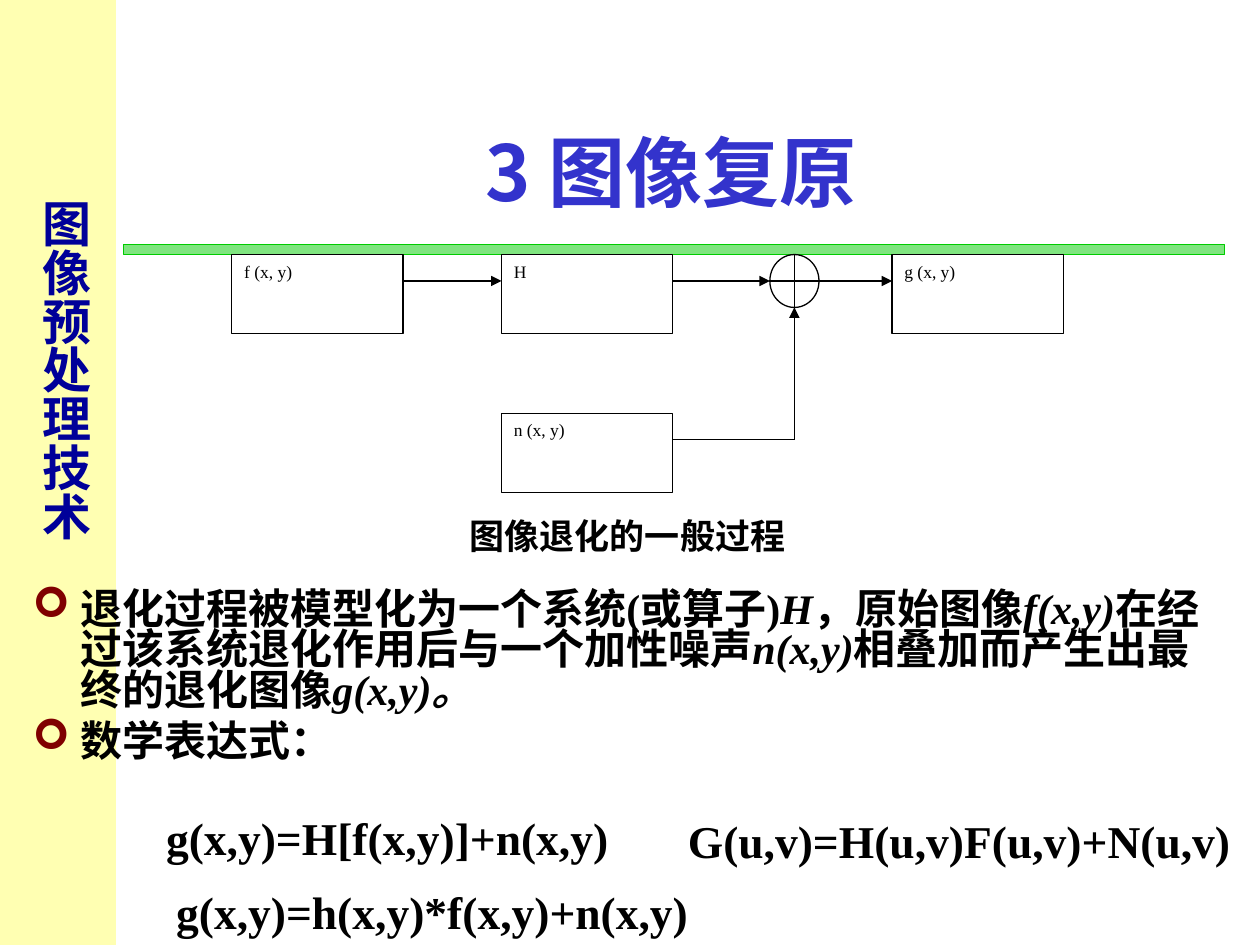
from lxml import etree
from pptx import Presentation
from pptx.dml.color import RGBColor
from pptx.enum.shapes import MSO_CONNECTOR, MSO_SHAPE
from pptx.enum.text import MSO_ANCHOR, MSO_AUTO_SIZE, PP_ALIGN
from pptx.oxml.ns import qn
from pptx.util import Inches, Pt

COLORS = {
    "black": "000000", "white": "FFFFFF", "title": "3333CC", "side": "000099",
    "band": "FFFF66", "rule": "00CC00", "bullet": "800000",
}
SERIF, CJK = "Times New Roman", "Noto Sans CJK SC"


def color(name):
    return RGBColor.from_string(COLORS[name])


def add_xml(parent, tag, **attributes):
    return etree.SubElement(parent, qn(tag), attributes)


def style(paragraph, size, color_name="black", font=SERIF, bold=True):
    paragraph.font.size = Pt(size)
    paragraph.font.bold = bold
    paragraph.font.name = font
    paragraph.font.color.rgb = color(color_name)
    # East Asian characters need their own typeface entry
    add_xml(paragraph._p.pPr.find(qn("a:defRPr")), "a:ea", typeface=CJK)


def add_figure(slide, kind, box, fill, line=None, alpha=None):
    shape = slide.shapes.add_shape(kind, *map(Inches, box))
    shape.shadow.inherit = False
    shape.fill.solid()
    shape.fill.fore_color.rgb = color(fill)
    if alpha:
        add_xml(shape._element.spPr.find(f".//{qn('a:srgbClr')}"), "a:alpha", val=str(alpha * 1000))
    if line:
        shape.line.color.rgb = color(line)
        shape.line.width = Pt(0.75)
    else:
        shape.line.fill.background()
    return shape


def add_line(slide, start, end, arrow=True):
    line = slide.shapes.add_connector(MSO_CONNECTOR.STRAIGHT, *map(Inches, (*start, *end)))
    line.line.color.rgb = color("black")
    line.line.width = Pt(0.75)
    if arrow:
        add_xml(line.line._get_or_add_ln(), "a:tailEnd", type="triangle")
    add_xml(line._element.spPr, "a:effectLst")


def add_label(slide, box, text, size, line_spacing=None, space_before=0, align=PP_ALIGN.LEFT):
    frame = slide.shapes.add_textbox(*map(Inches, box)).text_frame
    frame.word_wrap = False
    frame.auto_size = MSO_AUTO_SIZE.SHAPE_TO_FIT_TEXT
    paragraph = frame.paragraphs[0]
    paragraph.text = text
    paragraph.alignment = align
    paragraph.line_spacing = line_spacing
    paragraph.space_before = Pt(space_before)
    style(paragraph, size)


def add_sidebar(slide, box):
    left, top, width, height = box
    add_figure(slide, MSO_SHAPE.RECTANGLE, box, "band", alpha=50)
    frame = slide.shapes.add_textbox(
        Inches(left + 0.17), Inches(top + 0.37), Inches(0.66), Inches(4.88)).text_frame
    frame.word_wrap = True
    frame.vertical_anchor = MSO_ANCHOR.MIDDLE
    frame.margin_left, frame.margin_right = Inches(0.09), Inches(0.05)
    frame.margin_top = frame.margin_bottom = Inches(0.1)
    frame._txBody.bodyPr.set("vert", "eaVert")
    paragraph = frame.paragraphs[0]
    paragraph.text = "图像预处理技术"
    paragraph._p.get_or_add_pPr().set("marL", str(Inches(1.11)))
    style(paragraph, 28, "side", CJK)


def add_title(slide, box):
    title = slide.shapes.title
    title.left, title.top, title.width, title.height = map(Inches, box)
    frame = title.text_frame
    frame.vertical_anchor = MSO_ANCHOR.MIDDLE
    paragraph = frame.paragraphs[0]
    paragraph.text = "3 图像复原"
    paragraph.alignment = PP_ALIGN.CENTER
    style(paragraph, 44, "title", CJK)


def add_diagram(slide, box):
    left, top, width, height = box
    block_width, block_height, adder_width, adder_height = 1.36, 0.63, 0.39, 0.42
    system_left, output_left = left + 2.14, left + width - block_width
    noise_top = top + height - block_height
    adder_left = left + 4.27
    flow_y, noise_y = top + adder_height / 2, noise_top + adder_height / 2
    adder_x = adder_left + adder_width / 2

    # Blocks
    blocks = [("f (x, y)", left, top), ("H", system_left, top),
              ("n (x, y)", system_left, noise_top), ("g (x, y)", output_left, top)]
    for text, x, y in blocks:
        block = add_figure(slide, MSO_SHAPE.RECTANGLE, (x, y, block_width, block_height),
                           "white", "black")
        block.text_frame.vertical_anchor = MSO_ANCHOR.TOP
        paragraph = block.text_frame.paragraphs[0]
        paragraph.text = text
        paragraph.alignment = PP_ALIGN.JUSTIFY
        style(paragraph, 10, bold=False)
    add_figure(slide, MSO_SHAPE.FLOWCHART_OR, (adder_left, top, adder_width, adder_height),
               "white", "black")

    # Signal flow from left to right
    for start, end in [(left + block_width, system_left),
                       (system_left + block_width, adder_left),
                       (adder_left + adder_width, output_left)]:
        add_line(slide, (start, flow_y), (end, flow_y))

    # Noise joins at the adder
    add_line(slide, (system_left + block_width, noise_y), (adder_x, noise_y), arrow=False)
    add_line(slide, (adder_x, noise_y), (adder_x, top + adder_height))


def add_body(slide, box):
    # Each run is (text, italic)
    bullets = [
        [("退化过程被模型化为一个系统(或算子)", False), ("H", True), ("，原始图像", False),
         ("f(x,y)", True), ("在经过该系统退化作用后与一个加性噪声", False),
         ("n(x,y)", True), ("相叠加而产生出最终的退化图像", False), ("g(x,y)。", True)],
        [("数学表达式：", False)],
    ]
    frame = slide.shapes.add_textbox(*map(Inches, box)).text_frame
    frame.word_wrap = True
    frame.margin_top, frame.margin_right = Inches(0.53), Inches(0.05)
    for index, runs in enumerate(bullets):
        paragraph = frame.add_paragraph() if index else frame.paragraphs[0]
        properties = paragraph._p.get_or_add_pPr()
        properties.set("marL", str(Inches(0.38)))
        properties.set("indent", str(-Inches(0.38)))
        add_xml(add_xml(properties, "a:buClr"), "a:srgbClr", val=COLORS["bullet"])
        add_xml(properties, "a:buFont", typeface="Wingdings")
        add_xml(properties, "a:buChar", char="➢")
        paragraph.line_spacing = 0.8
        paragraph.space_before = Pt(6.5)
        style(paragraph, 24)
        for text, italic in runs:
            run = paragraph.add_run()
            run.text = text
            run.font.italic = italic


def add_formulas(slide, box):
    left, top, width, height = box
    add_label(slide, (left, top + 0.03, 3.8, 0.49), "g(x,y)=H[f(x,y)]+n(x,y)", 26, 0.9, 6.5)
    add_label(slide, (left + 0.08, top + height - 0.54, 4.27, 0.54),
              "g(x,y)=h(x,y)*f(x,y)+n(x,y)", 26)
    add_label(slide, (left + width - 4.51, top, 4.51, 0.54), "G(u,v)=H(u,v)F(u,v)+N(u,v)",
              26, space_before=6.5, align=PP_ALIGN.CENTER)


def main():
    presentation = Presentation()
    presentation.slide_width, presentation.slide_height = Inches(10), Inches(7.5)
    slide = presentation.slides.add_slide(presentation.slide_layouts[5])

    add_sidebar(slide, (0, 0, 0.92, 7.5))
    add_figure(slide, MSO_SHAPE.RECTANGLE, (0.98, 1.94, 8.74, 0.08), "rule", "rule", alpha=50)
    add_title(slide, (1.08, 0.73, 8.5, 1.25))
    add_body(slide, (0.16, 4.17, 9.61, 2.02))
    add_diagram(slide, (1.84, 2.02, 6.6, 1.89))
    add_label(slide, (3.63, 4.07, 2.84, 0.4), "图像退化的一般过程", 20, 0.9, 5)
    add_formulas(slide, (1.22, 6.4, 8.65, 1.11))

    presentation.save("out.pptx")


if __name__ == "__main__":
    main()
